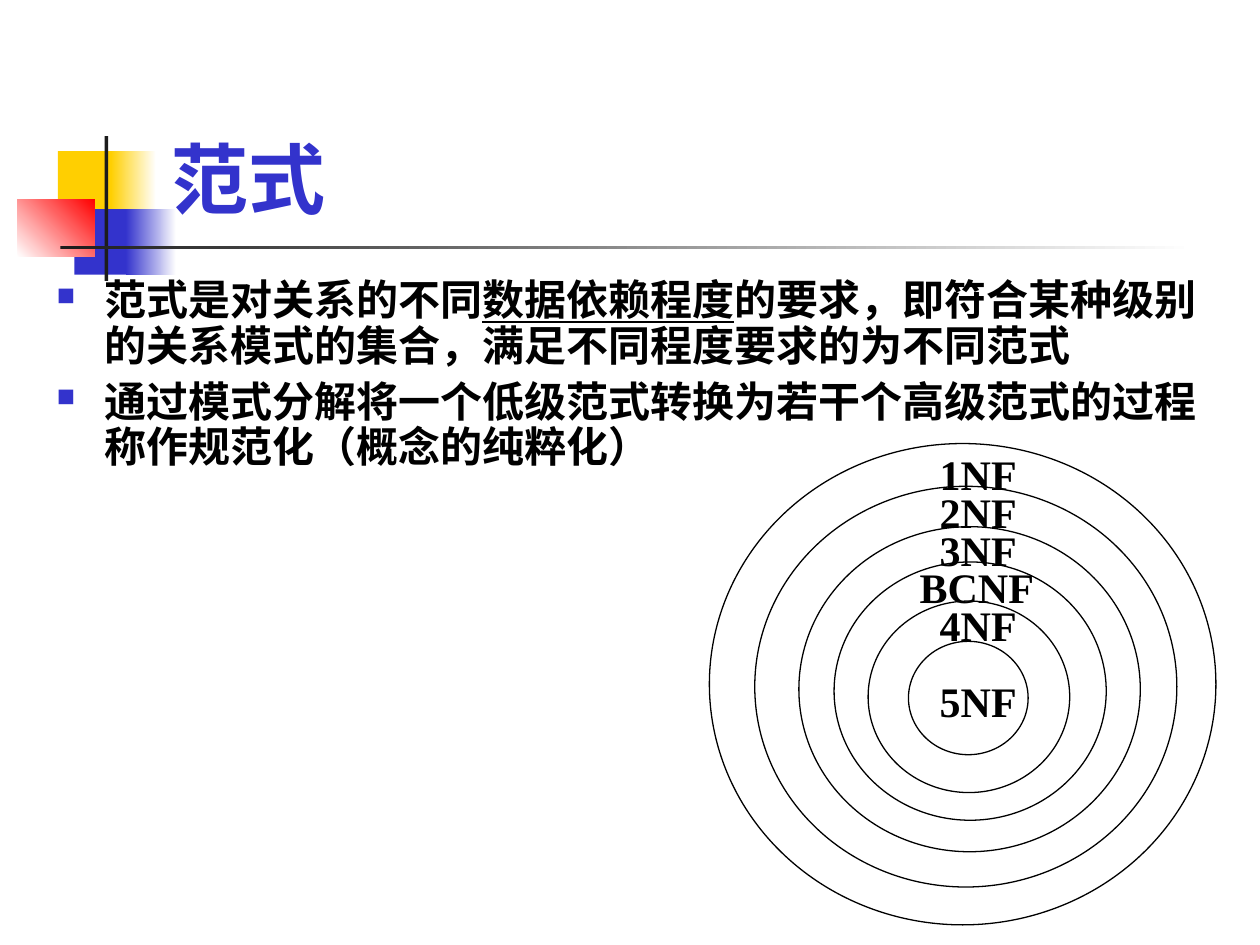
"""Build the slide on normal forms."""
from lxml.etree import SubElement
from pptx import Presentation
from pptx.dml.color import RGBColor
from pptx.enum.shapes import MSO_SHAPE
from pptx.enum.text import MSO_ANCHOR
from pptx.oxml.ns import qn
from pptx.util import Inches, Pt

BLUE, GOLD, RED, DARK = "3333CC", "FFCF01", "FF0000", "1C1C1C"
WHITE, BLACK = "FFFFFF", "000000"

TITLE = "范式"
POINTS = [
    [("范式是对关系的不同", False), ("数据依赖程度", True),
     ("的要求，即符合某种级别的关系模式的集合，满足不同程度要求的为不同范式", False)],
    [("通过模式分解将一个低级范式转换为若干个高级范式的过程称作规范化（概念的纯粹化）", False)],
]
BARS = [
    ((0.46, 1.2, 0.48, 0.52), [GOLD], 0),
    ((0.88, 1.2, 0.36, 0.52), [GOLD, WHITE], 0),
    ((0.59, 1.66, 0.46, 0.52), [BLUE], 0),
    ((1, 1.66, 0.4, 0.52), [BLUE, WHITE], 0),
    ((0.14, 1.58, 0.61, 0.46), [WHITE, RED], 45),
    ((0.83, 1.08, 0.03, 1.15), [DARK], 0),
    ((0.48, 1.95, 9, 0.03), [DARK, WHITE], 0),
]
RINGS = [
    (7.21, 5.09, 0.95, 0.9), (6.89, 4.77, 1.6, 1.52),
    (6.62, 4.46, 2.16, 2.05), (6.34, 4.18, 2.71, 2.58),
    (5.99, 3.86, 3.35, 3.18), (5.63, 3.52, 4.02, 3.82),
]
FORMS = [("1NF", 0), ("2NF", 1), ("3NF", 2), ("BCNF", 3), ("4NF", 4), ("5NF", 6)]
TOP, STEP = 3.51, 0.3


def color(code):
    """Turn a hex string into a colour."""
    return RGBColor.from_string(code)


def add_form(slide, kind, box):
    """Add a preset shape without shadow."""
    shape = slide.shapes.add_shape(kind, *map(Inches, box))
    shape.shadow.inherit = False
    return shape


def add_bar(slide, box, tones, angle):
    """Add a borderless bar in one or two tones."""
    bar = add_form(slide, MSO_SHAPE.RECTANGLE, box)
    bar.line.fill.background()
    if len(tones) == 1:
        bar.fill.solid()
        bar.fill.fore_color.rgb = color(tones[0])
        return
    bar.fill.gradient()
    bar.fill.gradient_angle = angle
    for stop, tone, place in zip(bar.fill.gradient_stops, tones, (0, 1)):
        stop.color.rgb = color(tone)
        stop.position = place


def add_ring(slide, box):
    """Add an unfilled circle outline."""
    ring = add_form(slide, MSO_SHAPE.OVAL, box)
    ring.fill.background()
    ring.line.color.rgb = color(BLACK)
    ring.line.width = Pt(0.75)


def add_bullet(para):
    """Give a paragraph a small square bullet with hanging indent."""
    props = para._p.get_or_add_pPr()
    props.set("marL", str(Inches(0.38)))
    props.set("indent", str(-Inches(0.38)))
    tint = SubElement(props, qn("a:buClr"))
    SubElement(tint, qn("a:srgbClr"), val=BLUE)
    SubElement(props, qn("a:buSzPct"), val="60000")
    SubElement(props, qn("a:buChar"), char="■")


def add_text(slide, box, paras, size=24, font="Lato", tone=BLACK,
             anchor=MSO_ANCHOR.TOP, bullet=False, line=1.0, gap=0):
    """Add a bold text box from paragraphs of (text, underline) runs."""
    frame = slide.shapes.add_textbox(*map(Inches, box)).text_frame
    frame.word_wrap = True
    frame.vertical_anchor = anchor
    for count, runs in enumerate(paras):
        para = frame.add_paragraph() if count else frame.paragraphs[0]
        if bullet:
            add_bullet(para)
        para.line_spacing = line
        if count:
            para.space_before = Pt(gap)
        for text, under in runs:
            run = para.add_run()
            run.text = text
            run.font.size = Pt(size)
            run.font.name = font
            run.font.bold = True
            run.font.underline = under
            run.font.color.rgb = color(tone)


def main():
    """Place every part and save the file."""
    deck = Presentation()
    deck.slide_width, deck.slide_height = Inches(10), Inches(7.5)
    slide = deck.slides.add_slide(deck.slide_layouts[6])
    for box, tones, angle in BARS:
        add_bar(slide, box, tones, angle)
    add_text(slide, (1.26, 0.23, 8.52, 1.6), [[(TITLE, False)]],
             size=44, tone=BLUE, anchor=MSO_ANCHOR.BOTTOM)
    add_text(slide, (0.35, 2.17, 9.42, 1.85), POINTS, bullet=True, line=0.9, gap=6)
    for box in RINGS:
        add_ring(slide, box)
    for name, row in FORMS:
        left, width = (7.2, 1.18) if len(name) > 3 else (7.36, 0.87)
        add_text(slide, (left, TOP + row * STEP, width, 0.5), [[(name, False)]],
                 font="Times New Roman")
    deck.save("out.pptx")


if __name__ == "__main__":
    main()
